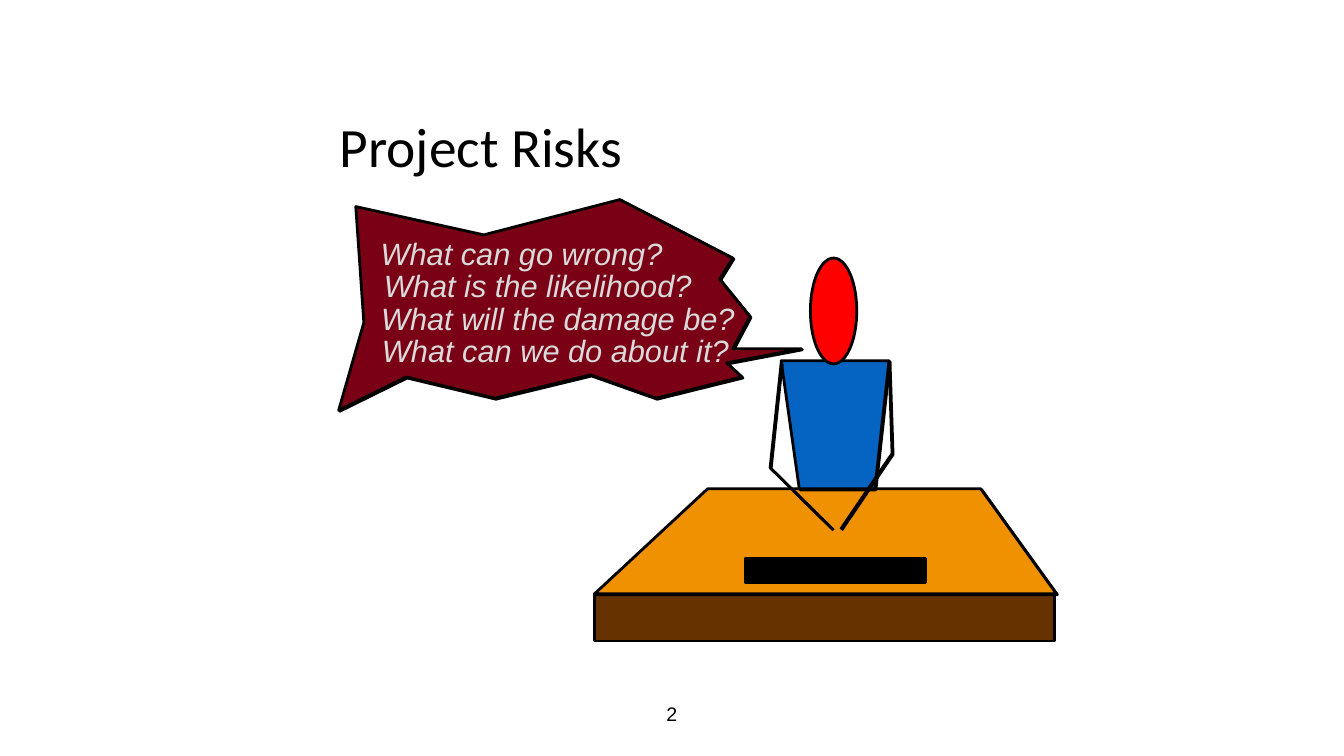
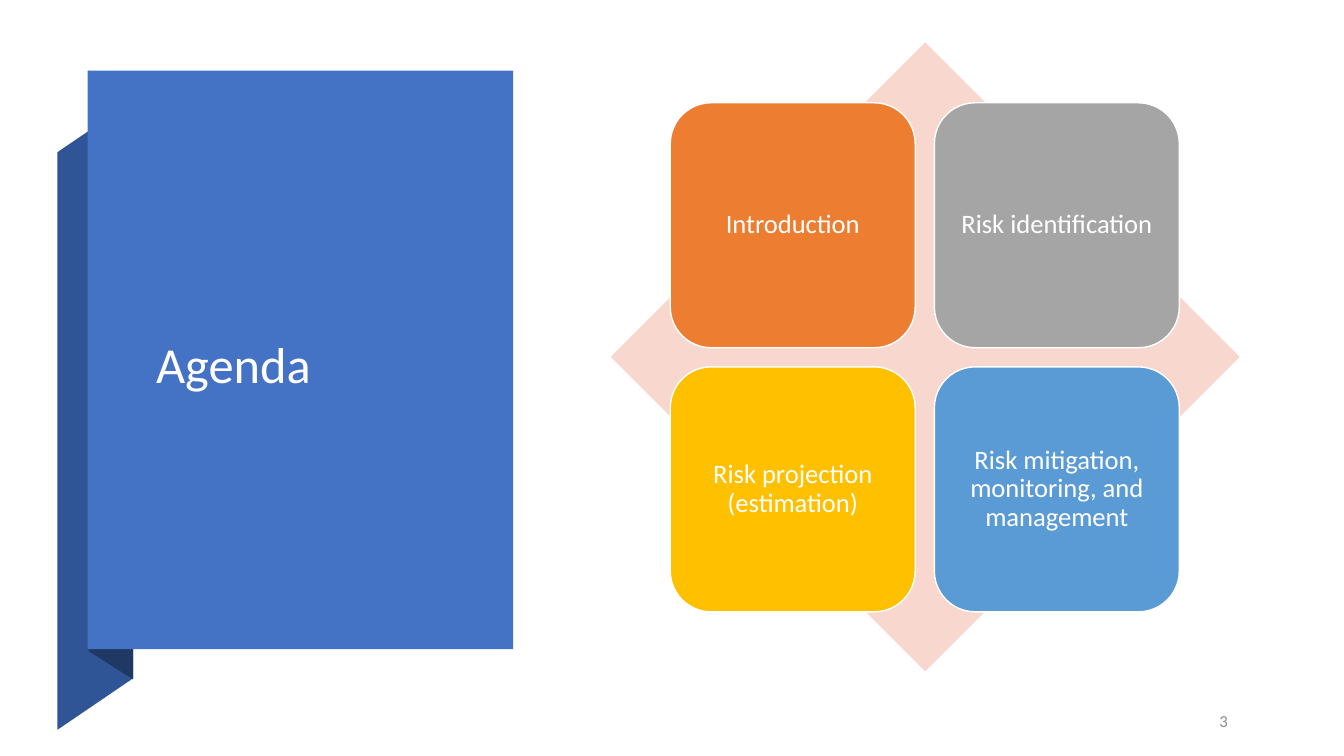
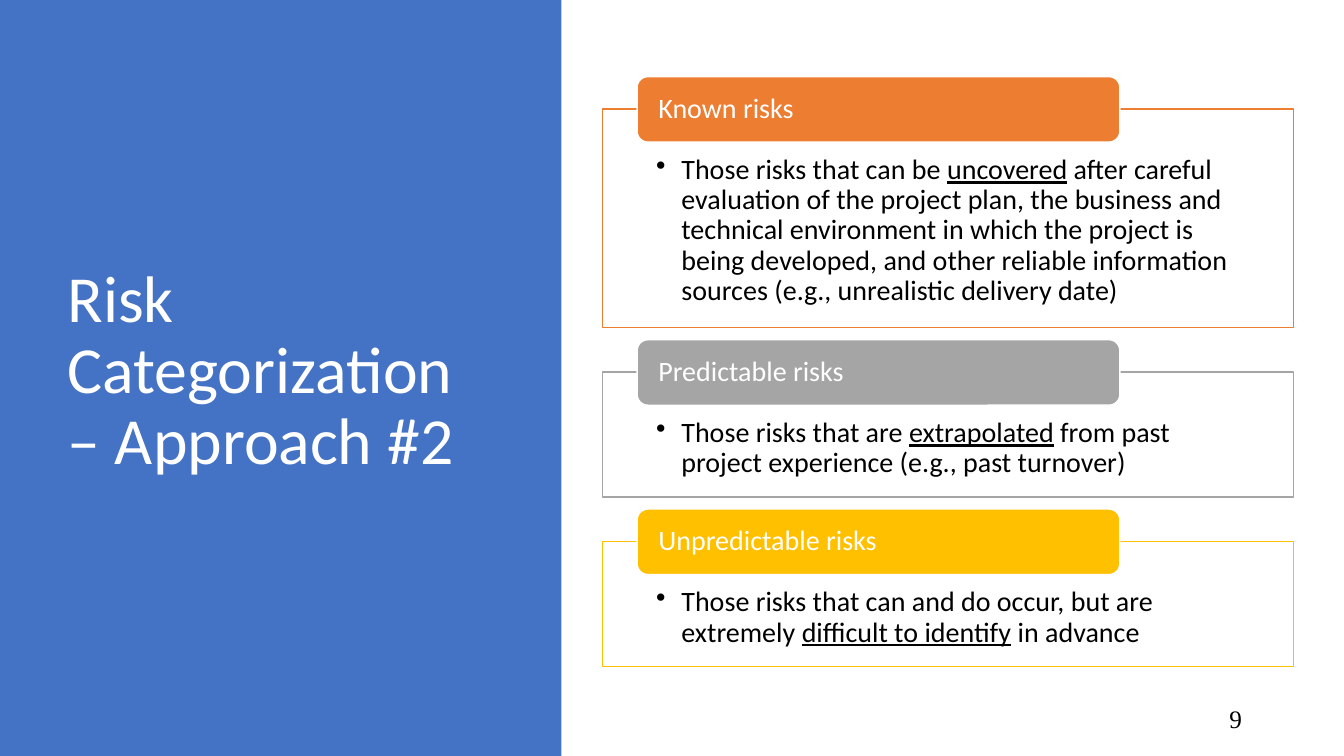
from lxml import etree
from pptx import Presentation
from pptx.dml.color import RGBColor
from pptx.enum.shapes import MSO_SHAPE
from pptx.enum.text import MSO_ANCHOR, PP_ALIGN
from pptx.oxml.ns import qn
from pptx.util import Emu, Inches, Pt

COLORS = {
    "black": "000000", "white": "FFFFFF", "panel": "4472C4",
    "ribbon": "2F5597", "fold": "203864", "pale": "F8D7CE",
    "orange": "ED7D31", "gray": "A5A5A5", "gold": "FFC000", "sky": "5B9BD5",
    "speech": "790015", "speech text": "DADADA", "desk top": "EF9100",
    "desk front": "663300", "shirt": "0563C1", "head": "FF0000",
    "page": "8C8C8C",
}
BODY_FONT = "Calibri"
DEFAULT_INSETS = (0.1, 0.05, 0.1, 0.05)

# Project Risks: questions with their left edge and width
QUESTIONS = [
    ("What can go wrong?", 3.66, 3.03),
    ("What is the likelihood?", 3.69, 3.29),
    ("What will the damage be?", 3.66, 3.75),
    ("What can we do about it?", 3.67, 3.68),
]
QUESTION_TOP, QUESTION_PITCH = 2.28, 0.32
SPEECH = [
    (7.95, 3.46), (7.21, 3.6), (7.36, 3.74), (6.51, 3.95), (5.86, 3.72),
    (4.91, 3.95), (4.03, 3.74), (3.36, 4.07), (3.61, 3.2), (3.53, 2.05),
    (4.8, 2.33), (6.15, 1.98), (7.27, 2.56), (7.14, 2.77), (7.44, 3.14),
    (7.27, 3.46), (7.93, 3.46),
]
DESK_TOP = [(5.9, 5.89), (7.02, 4.85), (9.73, 4.85), (10.48, 5.89)]
SHIRT = [(7.93, 4.85), (7.75, 3.58), (8.82, 3.58), (8.68, 4.85)]
ARMS = [
    [(7.75, 3.6), (7.64, 4.64), (8.26, 5.25)],
    [(8.82, 3.58), (8.85, 4.5), (8.34, 5.25)],
]
SKETCH_OFFSET = 0.01

# Agenda
RIBBON = [(0.57, 7.24), (1.32, 6.73), (1.32, 1), (0.57, 1.51)]
FOLD = [(0.88, 6.46), (1.32, 6.74), (1.32, 0.99), (0.88, 0.7)]
TOPICS = [
    ("Introduction", "orange"),
    ("Risk identification", "gray"),
    ("Risk projection (estimation)", "gold"),
    ("Risk mitigation, monitoring, and management", "sky"),
]
TILE, TILE_PITCH, TILE_LEFT, TILE_TOP = 2.43, 2.62, 6.65, 1.02

# Risk Categorization: name, colour, height, text before / underlined / after
CATEGORIES = [
    ("Known risks", "orange", 2.17,
     ("Those risks that can be ", "uncovered",
      " after careful evaluation of the project plan, the business and "
      "technical environment in which the project is being developed, and "
      "other reliable information sources (e.g., unrealistic delivery date)")),
    ("Predictable risks", "gray", 1.24,
     ("Those risks that are ", "extrapolated",
      " from past project experience (e.g., past turnover)")),
    ("Unpredictable risks", "gold", 1.24,
     ("Those risks that can and do occur, but are extremely ",
      "difficult to identify", " in advance")),
]
CATEGORY_TOP, CATEGORY_GAP, TAB_RISE = 1.08, 0.44, 0.32


def rgb(name):
    return RGBColor.from_string(COLORS[name])


def paint(shape, fill=None, line=None, width=1):
    shape.shadow.inherit = False
    if fill:
        shape.fill.solid()
        shape.fill.fore_color.rgb = rgb(fill)
    else:
        shape.fill.background()
    if line:
        shape.line.color.rgb = rgb(line)
        shape.line.width = Pt(width)
    else:
        shape.line.fill.background()


def add_preset(slide, kind, box, fill, line=None, width=1):
    shape = slide.shapes.add_shape(kind, *map(Inches, box))
    paint(shape, fill, line, width)
    return shape


def add_outline(slide, points, fill=None, line=None, closed=True, offset=0):
    corners = [(Inches(x + offset), Inches(y + offset)) for x, y in points]
    builder = slide.shapes.build_freeform(*corners[0])
    builder.add_line_segments(corners[1:], close=closed)
    paint(builder.convert_to_shape(), fill, line, 2)


def add_sketch(slide, points, fill=None, closed=True):
    """Draw a black outline twice, slightly shifted, for a hand-drawn edge."""
    add_outline(slide, points, None, "black", closed, SKETCH_OFFSET)
    add_outline(slide, points, fill, "black", closed)


def write(frame, parts, size, color, font=BODY_FONT, align=PP_ALIGN.LEFT,
          anchor=MSO_ANCHOR.MIDDLE, insets=DEFAULT_INSETS, spacing=0.9,
          italic=False, bullet=False, wrap=True):
    """Fill a text frame with one paragraph; every second part is underlined."""
    frame.word_wrap = wrap
    frame.vertical_anchor = anchor
    (frame.margin_left, frame.margin_top,
     frame.margin_right, frame.margin_bottom) = map(Inches, insets)
    paragraph = frame.paragraphs[0]
    paragraph.alignment = align
    paragraph.line_spacing = spacing
    if bullet:
        properties = paragraph._p.get_or_add_pPr()
        properties.set("marL", str(Inches(0.25)))
        properties.set("indent", str(Inches(-0.25)))
        etree.SubElement(properties, qn("a:buChar")).set("char", "•")
    for index, part in enumerate(parts):
        run = paragraph.add_run()
        run.text = part
        run.font.size = Pt(size)
        run.font.name = font
        run.font.color.rgb = rgb(color)
        run.font.italic = italic
        if index % 2:
            run.font.underline = True


def add_text(slide, box, words, size, color, **style):
    label = slide.shapes.add_textbox(*map(Inches, box))
    write(label.text_frame, [words], size, color, **style)


def project_risks(slide):
    add_text(slide, (3.27, 1.22, 7.18, 0.53), "Project Risks", 39.6, "black")
    add_text(slide, (5.08, 6.83, 3.17, 0.5), "2", 14, "black", font="Arial",
             align=PP_ALIGN.CENTER, spacing=1.0)
    add_sketch(slide, SPEECH, "speech")
    add_preset(slide, MSO_SHAPE.RECTANGLE, (5.9, 5.89, 4.56, 0.47),
               "desk front", "black", 2)
    add_sketch(slide, DESK_TOP, "desk top")
    add_sketch(slide, SHIRT, "shirt")
    for arm in ARMS:
        add_sketch(slide, arm, closed=False)
    add_preset(slide, MSO_SHAPE.OVAL, (8.04, 2.56, 0.46, 1.05),
               "head", "black", 2)
    for row, (question, left, width) in enumerate(QUESTIONS):
        box = (left, QUESTION_TOP + row * QUESTION_PITCH, width, 0.47)
        add_text(slide, box, question, 22, "speech text", font="Arial",
                 align=PP_ALIGN.CENTER, anchor=MSO_ANCHOR.TOP, spacing=1.0,
                 italic=True, wrap=False)
    add_preset(slide, MSO_SHAPE.RECTANGLE, (7.39, 5.54, 1.79, 0.24),
               "black", "black", 2)


def agenda(slide):
    add_outline(slide, RIBBON, "ribbon")
    add_outline(slide, FOLD, "fold")
    add_preset(slide, MSO_SHAPE.RECTANGLE, (0.87, 0.7, 4.22, 5.74), "panel")
    add_text(slide, (1.45, 1.67, 3.01, 3.94), "Agenda", 36, "white")
    add_text(slide, (11.53, 6.98, 0.75, 0.35), "3", 12, "page",
             align=PP_ALIGN.RIGHT, spacing=1.0)
    add_preset(slide, MSO_SHAPE.DIAMOND, (6.06, 0.42, 6.24, 6.24), "pale")
    for index, (topic, color) in enumerate(TOPICS):
        row, column = divmod(index, 2)
        box = (TILE_LEFT + column * TILE_PITCH, TILE_TOP + row * TILE_PITCH,
               TILE, TILE)
        tile = add_preset(slide, MSO_SHAPE.ROUNDED_RECTANGLE, box, color,
                          "white")
        write(tile.text_frame, [topic], 19, "white", align=PP_ALIGN.CENTER,
              insets=(0.08,) * 4)


def risk_categories(slide):
    add_preset(slide, MSO_SHAPE.RECTANGLE, (0, 0, 5.57, 7.5), "panel")
    add_text(slide, (0.57, 0.68, 4.16, 6.02),
             "Risk Categorization – Approach #2", 47, "white")
    add_text(slide, (9.42, 6.95, 3, 0.4), "9", 18, "black",
             font="Times New Roman", align=PP_ALIGN.RIGHT)
    top = CATEGORY_TOP
    for name, color, height, description in CATEGORIES:
        body = add_preset(slide, MSO_SHAPE.RECTANGLE,
                          (5.98, top, 6.85, height), "white", color)
        write(body.text_frame, description, 20, "black", bullet=True,
              anchor=MSO_ANCHOR.TOP, insets=(0.53, 0.46, 0.53, 0.16))
        tab = add_preset(slide, MSO_SHAPE.ROUNDED_RECTANGLE,
                         (6.32, top - TAB_RISE, 4.79, 0.65), color, "white")
        write(tab.text_frame, [name], 20, "white", insets=(0.18, 0, 0.18, 0))
        top += height + CATEGORY_GAP


def main():
    deck = Presentation()
    deck.slide_width, deck.slide_height = Emu(12192000), Inches(7.5)
    for build in (project_risks, agenda, risk_categories):
        build(deck.slides.add_slide(deck.slide_layouts[6]))
    deck.save("out.pptx")


if __name__ == "__main__":
    main()
